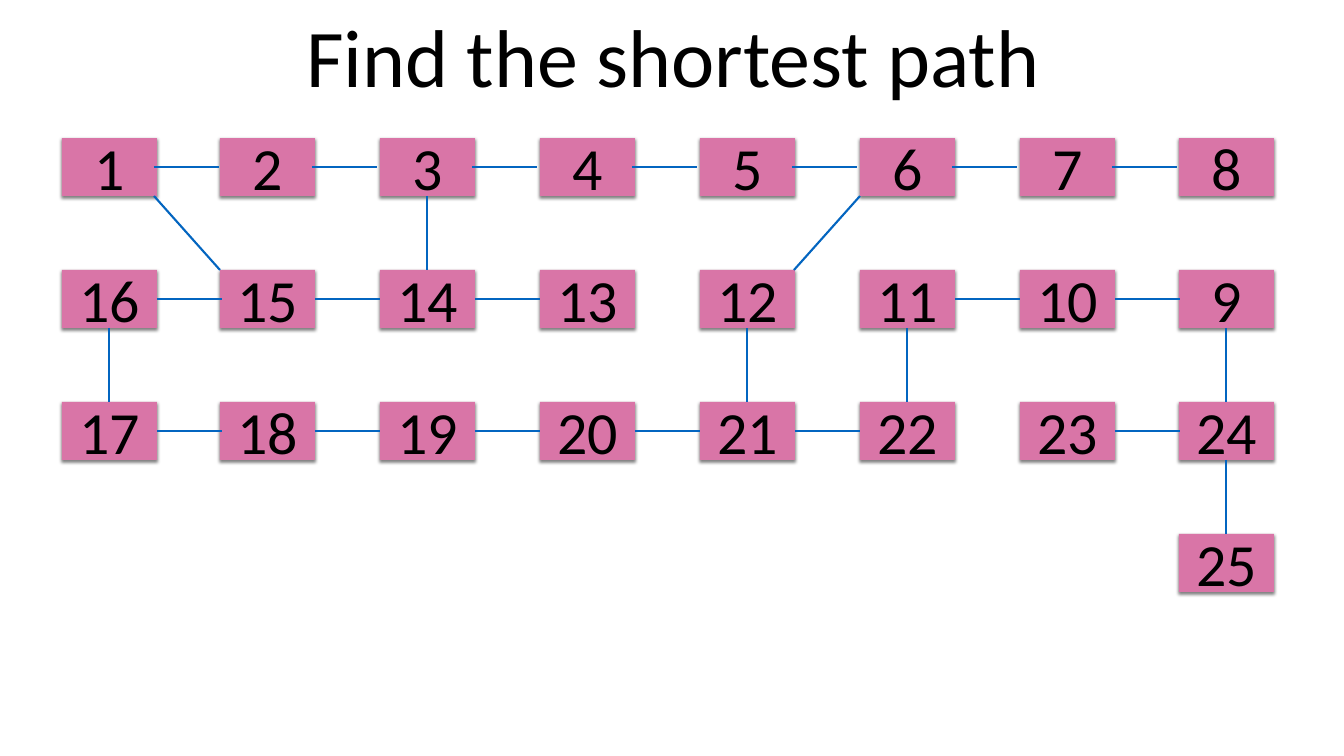
from lxml.etree import SubElement
from pptx import Presentation
from pptx.dml.color import RGBColor
from pptx.enum.shapes import MSO_CONNECTOR as Connector, MSO_SHAPE as Shape
from pptx.enum.text import MSO_ANCHOR as Anchor, PP_ALIGN as Align
from pptx.oxml.ns import qn
from pptx.util import Pt

EMU_PER_PX = 914400 / 75.6
COLORS = {"box": "D975A7", "link": "0365C0", "text": "000000", "shadow": "000000"}

COLUMNS = (62, 220, 380, 540, 700, 860, 1020, 1179)
TOP, ROW_STEP = 138, 132
BOX_WIDTH, BOX_HEIGHT, GAP = 95, 58, 65

ROWS = (range(1, 9), range(16, 8, -1), range(17, 25))
ROW_LINKS = (
    (0, -3, range(7)),
    (1, 0, (0, 1, 2, 5, 6)),
    (2, 0, (0, 1, 2, 3, 4, 6)),
)
COLUMN_LINKS = ((2, 0), (0, 1), (4, 1), (5, 1), (7, 1), (7, 2))
DIAGONAL_LINKS = ((154, 220), (860, 794))


def px(value):
    return round(value * EMU_PER_PX)


def row_top(row):
    return TOP + row * ROW_STEP


class SlideBuilder:
    font = "Calibri"

    def __init__(self, slide):
        self.slide = slide

    def set_text(self, shape, text, size, inset_x, inset_y):
        frame = shape.text_frame
        frame.text = text
        frame.word_wrap = True
        frame.vertical_anchor = Anchor.MIDDLE
        frame.margin_left = frame.margin_right = px(inset_x)
        frame.margin_top = frame.margin_bottom = px(inset_y)
        paragraph = frame.paragraphs[0]
        paragraph.alignment = Align.CENTER
        font = paragraph.runs[0].font
        font.name = self.font
        font.size = Pt(size)
        font.color.rgb = RGBColor.from_string(COLORS["text"])

    def title(self, text, left, top, width, height):
        shape = self.slide.shapes.add_textbox(px(left), px(top), px(width), px(height))
        self.set_text(shape, text, 78, 5, 5)

    def box(self, label, column, row):
        shape = self.slide.shapes.add_shape(
            Shape.RECTANGLE, px(COLUMNS[column]), px(row_top(row)), px(BOX_WIDTH), px(BOX_HEIGHT)
        )
        shape.fill.solid()
        shape.fill.fore_color.rgb = RGBColor.from_string(COLORS["box"])
        shape.line.fill.background()
        self.add_shadow(shape)
        self.set_text(shape, str(label), 57, 12, 6)

    def add_shadow(self, shape):
        shape.shadow.inherit = False
        effects = shape._element.spPr.find(qn("a:effectLst"))
        shadow = SubElement(
            effects, qn("a:outerShdw"),
            blurRad=str(Pt(3)), dist=str(Pt(2)), dir="5400000", rotWithShape="0",
        )
        color = SubElement(shadow, qn("a:srgbClr"), val=COLORS["shadow"])
        SubElement(color, qn("a:alpha"), val="50000")

    def link(self, start_x, start_y, end_x, end_y):
        connector = self.slide.shapes.add_connector(
            Connector.STRAIGHT, px(start_x), px(start_y), px(end_x), px(end_y)
        )
        connector.line.color.rgb = RGBColor.from_string(COLORS["link"])
        connector.line.width = Pt(2)
        SubElement(connector._element.spPr, qn("a:effectLst"))


def main():
    presentation = Presentation()
    presentation.slide_width, presentation.slide_height = px(1344), px(756)
    builder = SlideBuilder(presentation.slides.add_slide(presentation.slide_layouts[6]))

    for row, labels in enumerate(ROWS):
        for column, label in enumerate(labels):
            builder.box(label, column, row)
    builder.box(25, 7, 3)

    for row, shift, columns in ROW_LINKS:
        y = row_top(row) + BOX_HEIGHT // 2
        for column in columns:
            x = COLUMNS[column] + BOX_WIDTH + shift
            builder.link(x, y, x + GAP, y)

    for column, row in COLUMN_LINKS:
        x = COLUMNS[column] + BOX_WIDTH // 2
        builder.link(x, row_top(row) + BOX_HEIGHT, x, row_top(row + 1))

    for start_x, end_x in DIAGONAL_LINKS:
        builder.link(start_x, row_top(0) + BOX_HEIGHT, end_x, row_top(1))

    builder.title("Find the shortest path", 132, -40, 1082, 189)
    presentation.save("out.pptx")


if __name__ == "__main__":
    main()
